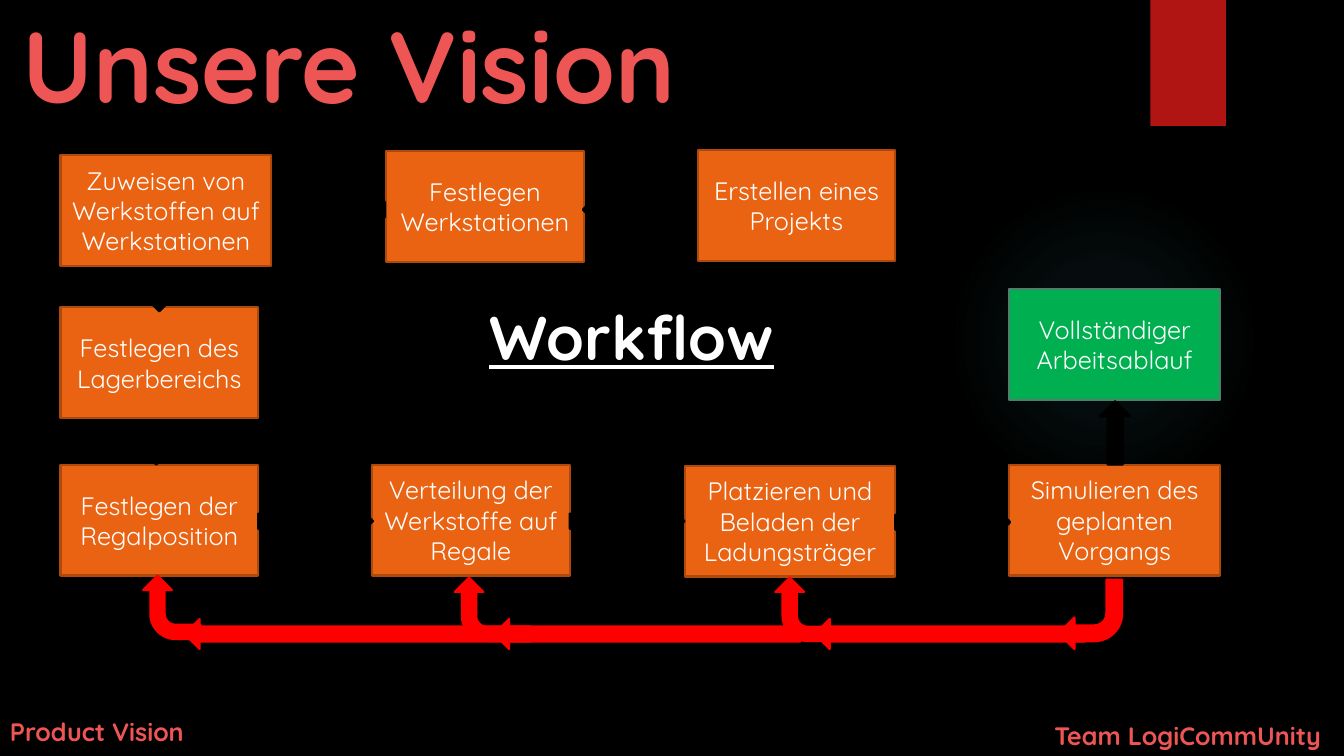
import math
from dataclasses import dataclass

from lxml import etree
from pptx import Presentation
from pptx.dml.color import RGBColor
from pptx.enum.shapes import MSO_SHAPE
from pptx.enum.text import MSO_ANCHOR, MSO_AUTO_SIZE, PP_ALIGN
from pptx.oxml.ns import nsdecls
from pptx.util import Inches, Pt

RECTANGLE, ELLIPSE = MSO_SHAPE.RECTANGLE, MSO_SHAPE.OVAL
STRAIGHT, BENT = MSO_SHAPE.DOWN_ARROW, MSO_SHAPE.BENT_ARROW
LEFT, CENTER = PP_ALIGN.LEFT, PP_ALIGN.CENTER
TOP, MIDDLE, BOTTOM = MSO_ANCHOR.TOP, MSO_ANCHOR.MIDDLE, MSO_ANCHOR.BOTTOM
NO_FIT, GROW = MSO_AUTO_SIZE.NONE, MSO_AUTO_SIZE.SHAPE_TO_FIT_TEXT


@dataclass(frozen=True)
class Theme:
    font: str = "Quicksand"
    background: str = "000000"
    accent: str = "ED5654"
    ribbon: str = "B01513"
    glow: str = "50B9C1"
    text: str = "FFFFFF"
    step: tuple = ("EA6312", "AD490D")
    goal: tuple = ("00B050", "4E7F6B")
    forward: tuple = ("000000", "000000")
    feedback: tuple = ("FF0000", "FF0000")
    title_size: int = 72
    heading_size: int = 44
    body_size: int = 18
    line_width: float = 1.5


THEME = Theme()

# Content: lengths in inches
TITLE = "Unsere Vision"
HEADING = "Workflow"
FOOTERS = [("Product Vision", (0, 7.06, 2.03, 0.4)),
           ("Team LogiCommUnity", (10.36, 7.1, 2.97, 0.4))]

NARROW, WIDE, STEP_HEIGHT = 1.96, 2.09, 1.1
STEPS = [  # text, left, top, width, colours
    ("Erstellen eines Projekts", 6.92, 1.49, NARROW, THEME.step),
    ("Festlegen Werkstationen", 3.83, 1.5, NARROW, THEME.step),
    ("Zuweisen von Werkstoffen auf Werkstationen", 0.6, 1.54, WIDE, THEME.step),
    ("Festlegen des Lagerbereichs", 0.6, 3.05, NARROW, THEME.step),
    ("Festlegen der Regalposition", 0.6, 4.61, NARROW, THEME.step),
    ("Verteilung der Werkstoffe auf Regale", 3.69, 4.61, NARROW, THEME.step),
    ("Platzieren und Beladen der Ladungsträger", 6.79, 4.62, WIDE, THEME.step),
    ("Simulieren des geplanten Vorgangs", 10.01, 4.61, WIDE, THEME.step),
    ("Vollständiger Arbeitsablauf", 10.01, 2.87, WIDE, THEME.goal),
]

ARROW_WIDTH = 0.3
FORWARD_ARROWS = [  # tail, tip
    ((6.88, 2.08), (5.78, 2.08)),
    ((3.82, 2.08), (2.72, 2.08)),
    ((1.58, 2.67), (1.58, 3.09)),
    ((1.55, 4.18), (1.55, 4.61)),
    ((2.56, 5.17), (3.7, 5.17)),
    ((5.65, 5.17), (6.79, 5.17)),
    ((8.88, 5.18), (10.02, 5.18)),
    ((11.06, 4.61), (11.06, 3.98)),
]
FEEDBACK_ARROWS = [
    ((10.76, 6.29), (8.08, 6.29)),
    ((7.94, 6.29), (4.9, 6.29)),
    ((5.26, 6.29), (1.83, 6.29)),
]
BENDS = [  # frame, rotation
    ((1.39, 5.74, 0.63, 0.57), 270),
    ((4.48, 5.76, 0.63, 0.57), 270),
    ((7.66, 5.76, 0.63, 0.57), 270),
    ((10.5, 5.75, 0.63, 0.69), 180),
]
GLOW_STOPS = [(0, 7), (36, 6), (69, 0)]  # position and opacity, percent


def write(shape, text, size, color, align=LEFT, anchor=TOP,
          fit=NO_FIT, bold=False, underline=False):
    frame = shape.text_frame
    frame.text = text
    frame.word_wrap = True
    frame.auto_size = fit
    frame.vertical_anchor = anchor
    para = frame.paragraphs[0]
    para.alignment = align
    font = para.runs[0].font
    font.name, font.size = THEME.font, Pt(size)
    font.bold, font.underline = bold, underline
    font.color.rgb = RGBColor.from_string(color)


def add_block(page, kind, frame, fill, line=None, rotation=0):
    shape = page.shapes.add_shape(kind, *map(Inches, frame))
    shape.shadow.inherit = False
    shape.rotation = rotation
    shape.fill.solid()
    shape.fill.fore_color.rgb = RGBColor.from_string(fill)
    if line:
        shape.line.color.rgb = RGBColor.from_string(line)
        shape.line.width = Pt(THEME.line_width)
    else:
        shape.line.fill.background()
    return shape


def add_arrow(page, tail, tip, colors):
    length = math.dist(tail, tip)
    center_x, center_y = (tail[0] + tip[0]) / 2, (tail[1] + tip[1]) / 2
    # An unrotated arrow points down, which is 90 degrees
    angle = math.degrees(math.atan2(tip[1] - tail[1], tip[0] - tail[0]))
    frame = (center_x - ARROW_WIDTH / 2, center_y - length / 2, ARROW_WIDTH, length)
    add_block(page, STRAIGHT, frame, *colors, rotation=(angle - 90) % 360)


def add_glow(page):
    glow = add_block(page, ELLIPSE, (9.41, 1.83, 3.08, 3.08), THEME.glow)
    stops = "".join(
        f'<a:gs pos="{position * 1000}"><a:srgbClr val="{THEME.glow}">'
        f'<a:alpha val="{opacity * 1000}"/></a:srgbClr></a:gs>'
        for position, opacity in GLOW_STOPS)
    gradient = etree.fromstring(
        f'<a:gradFill {nsdecls("a")}><a:gsLst>{stops}</a:gsLst><a:path path="circle">'
        '<a:fillToRect l="50000" t="50000" r="50000" b="50000"/></a:path></a:gradFill>')
    properties = glow.element.spPr
    properties.replace(properties.find("{*}solidFill"), gradient)


def add_text(page, text, frame, size, color, **style):
    box = page.shapes.add_textbox(*map(Inches, frame))
    write(box, text, size, color, fit=GROW, bold=True, **style)


def main():
    deck = Presentation()
    deck.slide_width, deck.slide_height = Inches(13.33), Inches(7.5)
    page = deck.slides.add_slide(deck.slide_layouts[0])
    page.background.fill.solid()
    page.background.fill.fore_color.rgb = RGBColor.from_string(THEME.background)

    # Title
    title, subtitle = page.placeholders
    subtitle.element.getparent().remove(subtitle.element)
    title.left, title.top, title.width, title.height = map(
        Inches, (0.12, 0.11, 11.23, 1.17))
    write(title, TITLE, THEME.title_size, THEME.accent, anchor=BOTTOM, bold=True)

    # Decoration
    add_glow(page)
    add_block(page, RECTANGLE, (11.41, 0, 0.75, 1.25), THEME.ribbon)

    # Workflow steps
    for text, left, top, width, colors in STEPS:
        step = add_block(page, RECTANGLE, (left, top, width, STEP_HEIGHT), *colors)
        write(step, text, THEME.body_size, THEME.text, align=CENTER, anchor=MIDDLE)

    # Arrows forward and back
    for tail, tip in FORWARD_ARROWS:
        add_arrow(page, tail, tip, THEME.forward)
    for tail, tip in FEEDBACK_ARROWS:
        add_arrow(page, tail, tip, THEME.feedback)
    for frame, rotation in BENDS:
        add_block(page, BENT, frame, *THEME.feedback, rotation=rotation)

    # Heading and footers
    add_text(page, HEADING, (2.57, 2.92, 7.39, 0.84), THEME.heading_size,
             THEME.text, align=CENTER, underline=True)
    for text, frame in FOOTERS:
        add_text(page, text, frame, THEME.body_size, THEME.accent)

    deck.save("out.pptx")


if __name__ == "__main__":
    main()
